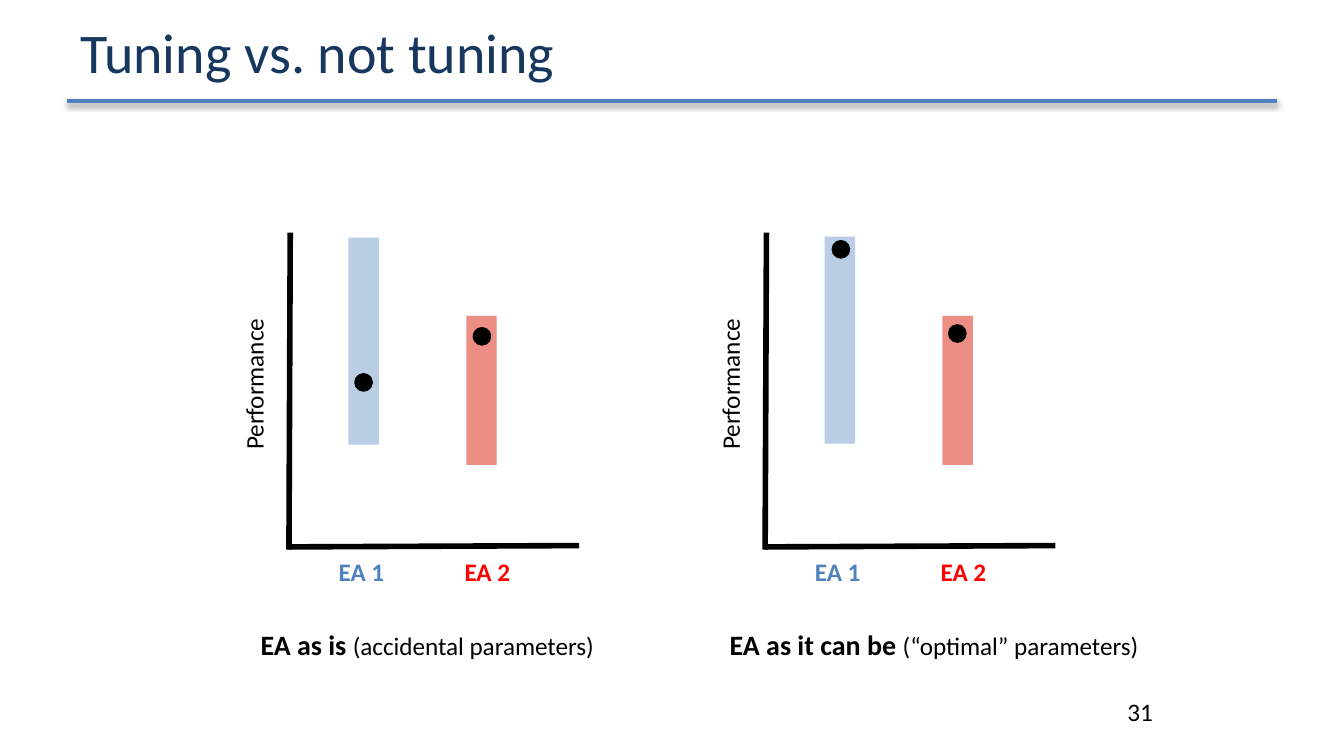
"""Build a slide comparing two evolutionary algorithms with and without tuning."""
from lxml import etree
from pptx import Presentation
from pptx.dml.color import RGBColor
from pptx.enum.shapes import MSO_CONNECTOR, MSO_SHAPE
from pptx.enum.text import MSO_ANCHOR, MSO_AUTO_SIZE
from pptx.oxml.ns import qn
from pptx.util import Pt

STRAIGHT = MSO_CONNECTOR.STRAIGHT
RECTANGLE = MSO_SHAPE.RECTANGLE
OVAL = MSO_SHAPE.OVAL
TOP = MSO_ANCHOR.TOP
MIDDLE = MSO_ANCHOR.MIDDLE
FIT_SHAPE = MSO_AUTO_SIZE.SHAPE_TO_FIT_TEXT
NO_FIT = MSO_AUTO_SIZE.NONE

BLACK, NAVY, BLUE, RED = "000000", "17375E", "4F81BD", "FF0000"
PALE_BLUE, PALE_RED = "B9CDE5", "EC8E84"
SMALL, MEDIUM, LARGE = 13.5, 15, 30
CHART_STEP = 255.1
DOT_SIZE = 8


def colour(value):
    return RGBColor.from_string(value)


class SlideBuilder:
    def __init__(self, page, font_name):
        self.page = page
        self.font_name = font_name

    def text(self, left, top, width, height, spans, rotation=0, wrap=False,
             anchor=TOP, fit=FIT_SHAPE, margin=3.6):
        box = self.page.shapes.add_textbox(Pt(left), Pt(top), Pt(width), Pt(height))
        box.rotation = rotation
        frame_format = {"word_wrap": wrap, "auto_size": fit, "vertical_anchor": anchor,
                        "margin_top": Pt(margin), "margin_bottom": Pt(margin)}
        for name, value in frame_format.items():
            setattr(box.text_frame, name, value)
        para = box.text_frame.paragraphs[0]
        for words, size, tint, bold in spans:
            span = para.add_run()
            span.text = words
            font_format = {"name": self.font_name, "size": Pt(size), "bold": bold}
            for name, value in font_format.items():
                setattr(span.font, name, value)
            span.font.color.rgb = colour(tint)

    def line(self, start, end, tint, width, shadow=False):
        connector = self.page.shapes.add_connector(
            STRAIGHT, *(Pt(value) for value in (*start, *end)))
        connector.line.color.rgb = colour(tint)
        connector.line.width = Pt(width)
        effects = etree.SubElement(connector._element.spPr, qn("a:effectLst"))
        if shadow:
            outer = etree.SubElement(effects, qn("a:outerShdw"), blurRad=str(Pt(3.1)),
                                     dist=str(Pt(1.6)), dir="5400000", rotWithShape="0")
            shade = etree.SubElement(outer, qn("a:srgbClr"), val=BLACK)
            etree.SubElement(shade, qn("a:alpha"), val="38000")

    def shape(self, kind, left, top, width, height, fill):
        shape = self.page.shapes.add_shape(kind, Pt(left), Pt(top), Pt(width), Pt(height))
        shape.shadow.inherit = False
        shape.fill.solid()
        shape.fill.fore_color.rgb = colour(fill)
        shape.line.fill.background()
        return shape

    def bar(self, left, top, height, fill):
        self.shape(RECTANGLE, left, top, 16.3, height, fill)

    def dot(self, left, top):
        dot = self.shape(OVAL, left, top, DOT_SIZE, DOT_SIZE, BLACK)
        dot.line.color.rgb = colour(BLACK)
        dot.line.width = Pt(2)

    def chart(self, left, first_top, dots):
        self.line((left + 0.7, 124.6), (left, 294.5), BLACK, 3)
        self.line((left + 155.5, 292.3), (left, 293), BLACK, 3)
        self.text(left - 61.9, 193, 86.4, 23.8,
                  [("Performance", SMALL, BLACK, False)], rotation=270)
        for name, offset, tint in (("EA 1", 19.6, BLUE), ("EA 2", 87, RED)):
            self.text(left + offset, 294.5, 38.9, 23.8, [(name, SMALL, tint, True)])
        self.bar(left + 31.9, first_top, 110.9, PALE_BLUE)
        self.bar(left + 95, 169.2, 79.9, PALE_RED)
        for offset, top in dots:
            self.dot(left + offset, top)


def main():
    deck = Presentation()
    deck.slide_width, deck.slide_height = Pt(720), Pt(405)
    page = deck.slides.add_slide(deck.slide_layouts[6])
    slide = SlideBuilder(page, "Calibri")

    slide.line((36, 54), (684, 54), BLUE, 2, shadow=True)
    slide.text(36, 1.4, 648, 52, [("Tuning vs. not tuning", LARGE, NAVY, False)],
               wrap=True, anchor=MIDDLE, fit=NO_FIT, margin=0)

    charts = [
        (127.4, [(36, 200.9), (99.4, 176.2)],
         132.5, 195.8, "EA as is ", "(accidental parameters)"),
        (126.8, [(36.6, 129.6), (99, 174.7)],
         383.8, 236.2, "EA as it can be ", "(“optimal” parameters)"),
    ]
    for index, (first_top, dots, left, width, name, detail) in enumerate(charts):
        slide.chart(154.8 + index * CHART_STEP, first_top, dots)
        slide.text(left, 332.6, width, 25.2,
                   [(name, MEDIUM, BLACK, True), (detail, SMALL, BLACK, False)])

    slide.text(596.9, 369.4, 33.1, 29.5, [("31", SMALL, BLACK, False)],
               wrap=True, fit=NO_FIT)
    deck.save("out.pptx")


if __name__ == "__main__":
    main()
